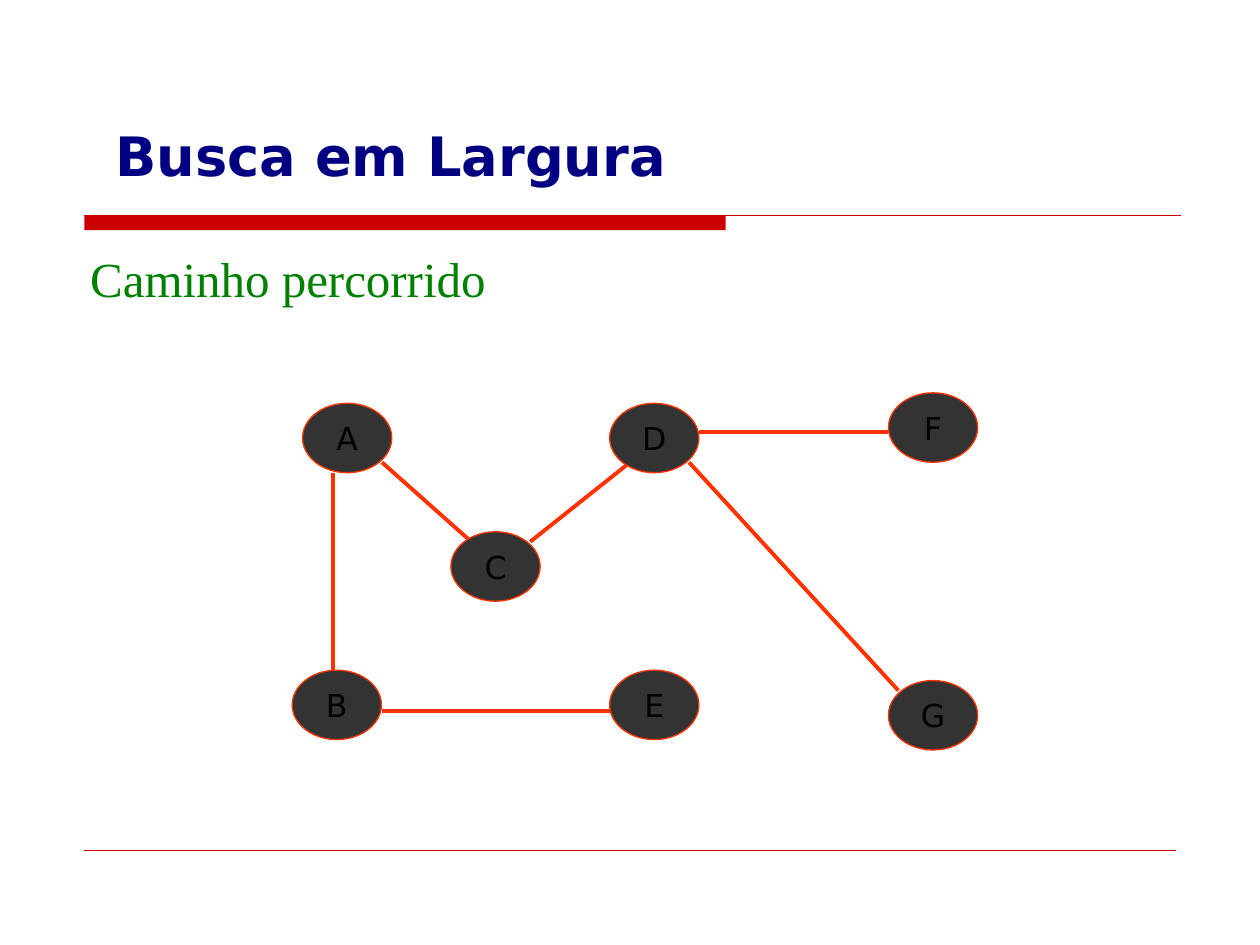
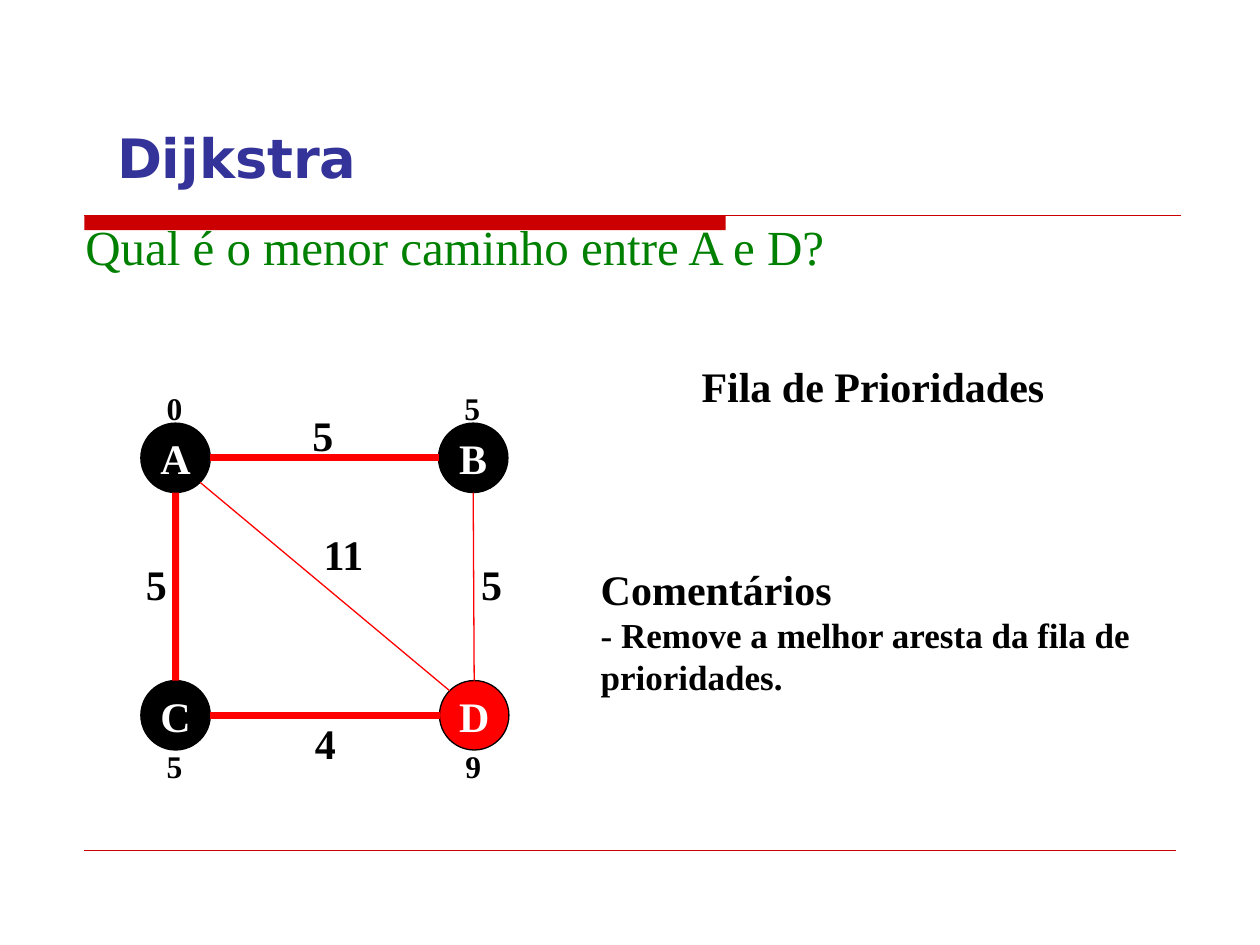
import math
from lxml import etree
from pptx import Presentation
from pptx import util as u
from pptx.dml.color import RGBColor
from pptx.enum import shapes, text
from pptx.oxml.ns import qn

SANS, SERIF = "DejaVu Sans", "Times New Roman"
BAND, PATH, ROUTE = "CC0000", "FF3300", "FF0000"
NAVY, INDIGO, GREEN = "000080", "333399", "008000"
BLACK, GREY, WHITE = "000000", "333333", "FFFFFF"

# Breadth-first graph: node corners and edge ends in cm
BFS_SIZE = (1.8, 1.4)
BFS_NODES = {
    "A": (6.1, 8.13), "B": (5.89, 13.51), "C": (9.09, 10.72), "D": (12.29, 8.13),
    "G": (17.91, 13.72), "E": (12.29, 13.51), "F": (17.91, 7.92),
}
BFS_EDGES = [
    ((7.7, 9.32), (9.5, 10.92)),
    ((10.69, 10.92), (12.7, 9.32)),
    ((7.7, 14.33), (12.29, 14.33)),
    ((6.71, 9.53), (6.71, 13.51)),
    ((14.1, 8.71), (17.91, 8.71)),
    ((13.89, 9.32), (18.11, 13.92)),
]

# Dijkstra graph: node corner, fill, distance and offset of the distance label
DIAMETER = 1.4
ABOVE, BELOW = -0.81, 1.22
ROUTE_NODES = {
    "A": ((2.84, 8.53), BLACK, "0", ABOVE),
    "B": ((8.84, 8.53), BLACK, "5", ABOVE),
    "C": ((2.84, 13.72), BLACK, "5", BELOW),
    "D": ((8.86, 13.72), ROUTE, "9", BELOW),
}
# Start, end, angle of departure in degrees, line width
ROUTE_EDGES = [("A", "B", 0, 4), ("B", "D", 90, 0.75), ("C", "D", 0, 4),
               ("A", "C", 90, 4), ("A", "D", 45, 0.75)]
# Weight, left, top, width
WEIGHTS = [("5", 6.05, 8.13, 0.91), ("5", 9.45, 11.13, 0.91), ("11", 6.25, 10.52, 1.35),
           ("5", 2.69, 11.13, 0.91), ("4", 6.1, 14.33, 0.91)]
COMMENTS = [("Comentários", 24), ("- Remove a melhor aresta da fila de prioridades.", 20)]


def color(value):
    return RGBColor.from_string(value)


def write(shape, lines, font, tint, bold=False, center=False, wrap=True, anchor="TOP"):
    """Fill a shape with (text, size) lines."""
    frame = shape.text_frame
    frame.word_wrap = wrap
    frame.vertical_anchor = getattr(text.MSO_ANCHOR, anchor)
    frame.text = "\n".join(line for line, size in lines)
    for para, (line, size) in zip(frame.paragraphs, lines):
        para.alignment = text.PP_ALIGN.CENTER if center else text.PP_ALIGN.LEFT
        for span in para.runs:
            span.font.name, span.font.size, span.font.bold = font, u.Pt(size), bold
            span.font.color.rgb = color(tint)


def add_text(page, area, lines, font, tint, **style):
    box = page.shapes.add_textbox(*map(u.Cm, area))
    write(box, lines, font, tint, **style)


def add_line(page, start, end, tint, width):
    line = page.shapes.add_connector(shapes.MSO_CONNECTOR.STRAIGHT, *map(u.Cm, (*start, *end)))
    line.line.color.rgb = color(tint)
    line.line.width = u.Pt(width)
    etree.SubElement(line._element.spPr, qn("a:effectLst"))


def add_block(page, kind, area, fill, outline=None):
    block = page.shapes.add_shape(kind, *map(u.Cm, area))
    block.shadow.inherit = False
    block.fill.solid()
    block.fill.fore_color.rgb = color(fill)
    if outline:
        block.line.color.rgb = color(outline)
        block.line.width = u.Pt(0.75)
    else:
        block.line.fill.background()
    return block


def add_node(page, label, area, fill, outline, size, font, tint, bold=False):
    node = add_block(page, shapes.MSO_SHAPE.OVAL, area, fill, outline)
    write(node, [(label, size)], font, tint, bold=bold, center=True, wrap=False, anchor="MIDDLE")


def add_page(deck, title, area, tint):
    """Page with the red band, the footer rule and a title."""
    page = deck.slides.add_slide(deck.slide_layouts[6])
    add_block(page, shapes.MSO_SHAPE.RECTANGLE, (1.7, 4.34, 12.93, 0.3), BAND)
    add_line(page, (1.7, 4.34), (23.8, 4.34), BAND, 0.75)
    add_line(page, (1.7, 17.15), (23.7, 17.15), BAND, 0.25)
    add_text(page, area, [(title, 31)], SANS, tint, bold=True, anchor="BOTTOM")
    return page


def rim(label, degrees):
    """Point on the edge of a Dijkstra node."""
    left, top = ROUTE_NODES[label][0]
    radius, angle = DIAMETER / 2, math.radians(degrees)
    return left + radius * (1 + math.cos(angle)), top + radius * (1 + math.sin(angle))


def build_bfs(deck):
    page = add_page(deck, "Busca em Largura", (2.08, 0.53, 22.23, 3.38), NAVY)
    add_text(page, (1.57, 4.88, 22.23, 11.86), [("Caminho percorrido", 28)], SERIF, GREEN)
    for start, end in BFS_EDGES:
        add_line(page, start, end, PATH, 2.25)
    for label, corner in BFS_NODES.items():
        add_node(page, label, (*corner, *BFS_SIZE), GREY, PATH, 18, SANS, BLACK)


def build_dijkstra(deck):
    page = add_page(deck, "Dijkstra", (2.11, 0.76, 22.86, 3.18), INDIGO)
    label_style = dict(bold=True, center=True, wrap=False)

    # Graph with distances and weights
    for label, ((left, top), fill, distance, offset) in ROUTE_NODES.items():
        add_node(page, label, (left, top, DIAMETER, DIAMETER), fill, BLACK, 24, SERIF, WHITE, True)
        add_text(page, (left + 0.27, top + offset, 0.81, 1.02), [(distance, 18)],
                 SERIF, BLACK, **label_style)
    for start, end, degrees, width in ROUTE_EDGES:
        add_line(page, rim(start, degrees), rim(end, degrees + 180), ROUTE, width)
    for weight, left, top, width in WEIGHTS:
        add_text(page, (left, top, width, 1.27), [(weight, 24)], SERIF, BLACK, **label_style)

    # Question, queue and comments
    add_text(page, (1.47, 4.24, 22.43, 1.45), [("Qual é o menor caminho entre A e D?", 28)],
             SERIF, GREEN)
    add_text(page, (13.89, 7.14, 7.42, 2.29), [("Fila de Prioridades", 24)],
             SERIF, BLACK, **label_style)
    add_text(page, (11.86, 11.23, 12.5, 2.97), COMMENTS, SERIF, BLACK, bold=True)


def main():
    deck = Presentation()
    deck.slide_width, deck.slide_height = u.Cm(25.4), u.Cm(19.05)
    build_bfs(deck)
    build_dijkstra(deck)
    deck.save("out.pptx")


if __name__ == "__main__":
    main()
